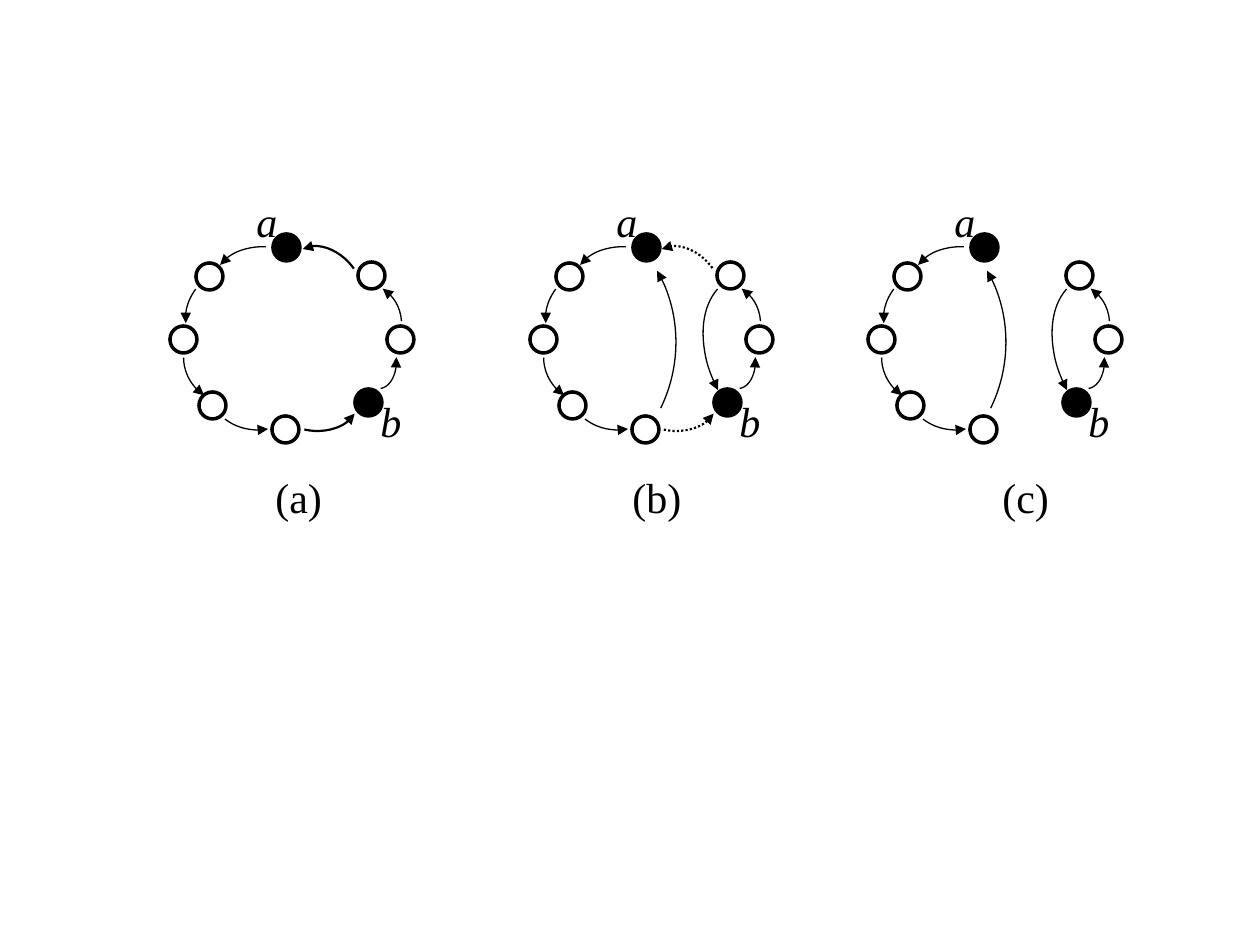
from pptx import Presentation
from pptx.dml.color import RGBColor
from pptx.enum.dml import MSO_LINE
from pptx.enum.shapes import MSO_SHAPE
from pptx.enum.text import MSO_AUTO_SIZE
from pptx.oxml.ns import qn
from pptx.util import Emu, Inches, Pt
from lxml.etree import SubElement

COLORS = {"ink": "000000", "paper": "FFFFFF"}
FONT = "Times New Roman"
NODE = 27
PANEL_TOP = 189

# Node positions: left, top, fill, relative to the panel
LEFT_NODES = [(103, 45, "ink"), (26, 74, "paper"), (0, 137, "paper"),
              (29, 203, "paper"), (102, 227, "paper")]
RIGHT_NODES = [(188, 73, "paper"), (217, 137, "paper"), (185, 200, "ink")]

# Arrows: left, top, width, height, rotation, start and end adjustments
LEFT_ARROWS = [(37, 142, 110, 98, 157.9, 171.1, 201.44),
               (13, 129, 95, 86, 202.6, 171.1, 205.06),
               (25, 63, 84, 110, 237.4, 171.1, 195.66),
               (60, 42, 78, 110, 278.2, 171.1, 208.38)]
RIGHT_ARROWS = [(149, 93, 83, 81, 42.2, 156.63, 189.6),
                (171, 145, 68, 42, 80.5, 171.1, 0)]
BRIDGES = [(127, 52, 60, 84, 317.3, 166.33, 8.86),
           (116, 170, 60, 84, 93, 171.1, 11.5)]
LEFT_CHORD = (42, 266, 233, 98.9, 133.85, 175.16)
RIGHT_CHORD = (151, 111, 185, 123, 242.2, 162, 210.39)


def px(pixels):
    return Emu(round(pixels * 914400 / 126))


def color(name):
    return RGBColor.from_string(COLORS[name])


def add_node(slide, left, top, fill):
    node = slide.shapes.add_shape(MSO_SHAPE.OVAL, px(left), px(top), px(NODE), px(NODE))
    node.shadow.inherit = False
    node.fill.solid()
    node.fill.fore_color.rgb = color(fill)
    node.line.color.rgb = color("ink")
    node.line.width = Pt(2)


def add_arrow(slide, left, top, width, height, rotation, start, end,
              weight=0.75, dotted=False):
    arrow = slide.shapes.add_shape(MSO_SHAPE.ARC, px(left), px(top), px(width), px(height))
    arrow.shadow.inherit = False
    arrow.rotation = rotation
    arrow.adjustments[0] = start
    arrow.adjustments[1] = end
    arrow.fill.background()
    arrow.line.color.rgb = color("ink")
    arrow.line.width = Pt(weight)
    if dotted:
        arrow.line.dash_style = MSO_LINE.ROUND_DOT
    outline = arrow._element.spPr.find(qn("a:ln"))
    SubElement(outline, qn("a:headEnd"), type="triangle")


def add_label(slide, left, top, width, text, italic=True):
    label = slide.shapes.add_textbox(px(left), px(top), px(width), px(63))
    frame = label.text_frame
    frame.word_wrap = False
    frame.auto_size = MSO_AUTO_SIZE.SHAPE_TO_FIT_TEXT
    run = frame.paragraphs[0].add_run()
    run.text = text
    run.font.name = FONT
    run.font.size = Pt(24)
    run.font.italic = italic
    run.font.color.rgb = color("ink")


def add_cycle(slide, left, caption, caption_left, shift=0, bridge=None, chord_left=None):
    """Draw one cycle; shift moves its right part, bridge is solid, dotted or None."""
    top, right = PANEL_TOP, left + shift

    # Nodes and cycle arrows of both parts
    for origin, nodes, arrows in ((left, LEFT_NODES, LEFT_ARROWS),
                                  (right, RIGHT_NODES, RIGHT_ARROWS)):
        for x, y, fill in nodes:
            add_node(slide, origin + x, top + y, fill)
        for x, y, *curve in arrows:
            add_arrow(slide, origin + x, top + y, *curve)

    # Arrows that join the two parts
    if bridge:
        for x, y, *curve in BRIDGES:
            add_arrow(slide, right + x, top + y, *curve,
                      weight=1.25, dotted=bridge == "dotted")

    # Chords that close each part
    if chord_left is not None:
        y, *curve = LEFT_CHORD
        add_arrow(slide, left + chord_left, top + y, *curve)
        x, y, *curve = RIGHT_CHORD
        add_arrow(slide, right + x, top + y, *curve)

    # Labels and caption
    add_label(slide, left + 74, top, 47, "a")
    add_label(slide, right + 198, top + 200, 47, "b")
    add_label(slide, left + caption_left, top + 276, 75, caption, italic=False)


prs = Presentation()
prs.slide_width, prs.slide_height = Inches(10), Inches(7.5)
slide = prs.slides.add_slide(prs.slide_layouts[6])

add_cycle(slide, 170, "(a)", 93, bridge="solid")
add_cycle(slide, 530, "(b)", 90, shift=-1, bridge="dotted", chord_left=-104)
add_cycle(slide, 868, "(c)", 122, shift=10, chord_left=-112)

prs.save("out.pptx")
